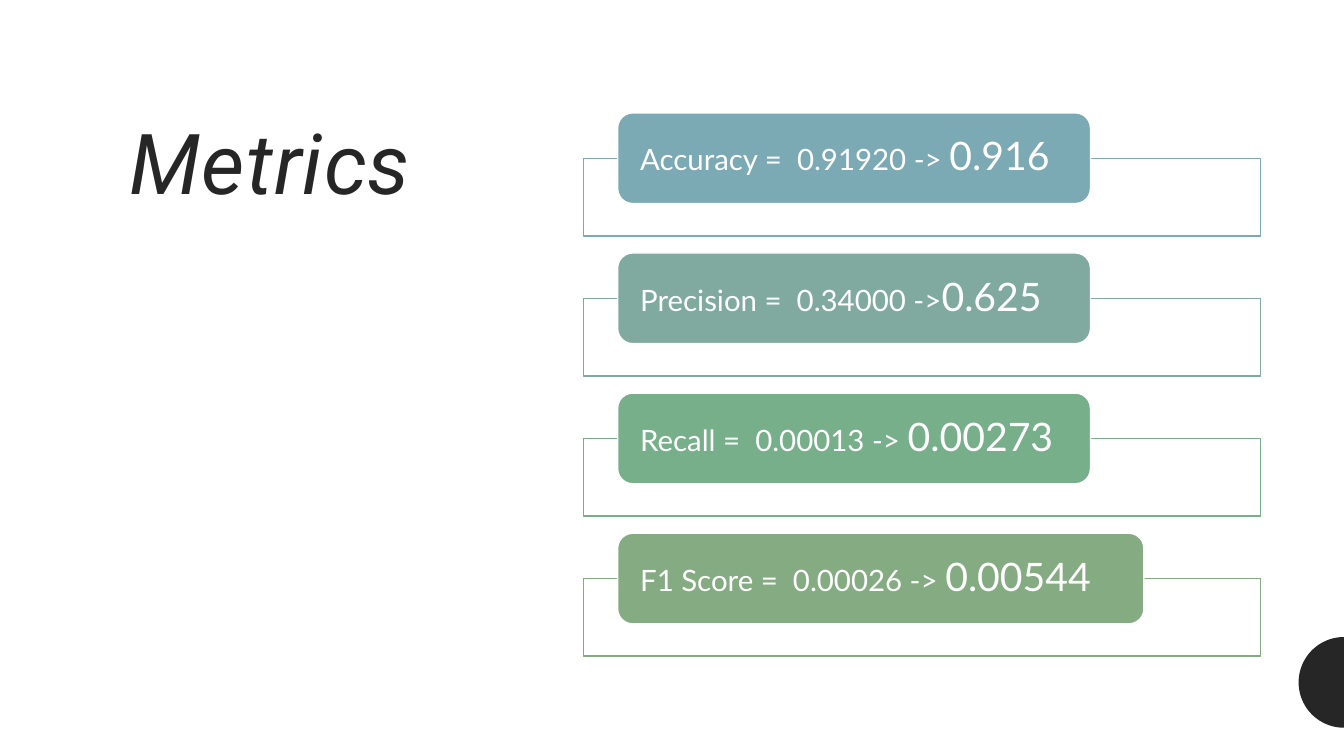
import math

from lxml import etree
from pptx import Presentation
from pptx import util as u
from pptx.dml.color import RGBColor
from pptx.enum import shapes, text
from pptx.oxml.ns import qn

WIDTH, HEIGHT = 13.33, 7.5
DARK, WHITE = "262626", "FFFFFF"
METRICS = [
    ("Accuracy =  0.91920 -> ", "0.916", "7BA9B4", 4.69),
    ("Precision =  0.34000 ->", "0.625", "80AAA0", 4.69),
    ("Recall =  0.00013 -> ", "0.00273", "77AF8A", 4.69),
    ("F1 Score =  0.00026 -> ", "0.00544", "85AB82", 5.22),
]


def color(value):
    return RGBColor.from_string(value)


def add_text(paragraph, words, size, font, fill, italic=False, tracking=0):
    run = paragraph.add_run()
    run.text = words
    run.font.size = u.Pt(size)
    run.font.name = font
    run.font.italic = italic
    run.font.color.rgb = color(fill)
    if tracking:
        run.font._element.set("spc", str(tracking * 100))


def style(shape, fill, line=None, opacity=100):
    shape.shadow.inherit = False
    shape.fill.solid()
    shape.fill.fore_color.rgb = color(fill)
    if opacity < 100:
        tone = shape.fill._xPr.find(".//" + qn("a:srgbClr"))
        etree.SubElement(tone, qn("a:alpha")).set("val", str(opacity * 1000))
    if line:
        shape.line.color.rgb = color(line)
        shape.line.width = u.Pt(1)
    else:
        shape.line.fill.background()


def add_box(slide, kind, left, top, width, height):
    return slide.shapes.add_shape(kind, *map(u.Inches, (left, top, width, height)))


def add_edge_disc(slide, center_y, radius):
    """Half a disc resting against the right edge of the slide."""
    steps = 48
    angles = [math.pi * (0.5 + step / steps) for step in range(steps + 1)]
    points = [(u.Inches(WIDTH + radius * math.cos(angle)),
               u.Inches(center_y - radius * math.sin(angle))) for angle in angles]
    builder = slide.shapes.build_freeform(*points[0])
    builder.add_line_segments(points[1:], close=True)
    style(builder.convert_to_shape(), DARK)


def add_title(slide, words, left, top, width, height):
    title = slide.shapes.title
    title.left, title.top, title.width, title.height = map(
        u.Inches, (left, top, width, height))
    frame = title.text_frame
    frame.auto_size = text.MSO_AUTO_SIZE.NONE
    frame.vertical_anchor = text.MSO_ANCHOR.TOP
    paragraph = frame.paragraphs[0]
    paragraph.alignment = text.PP_ALIGN.LEFT
    paragraph.line_spacing = 0.9
    add_text(paragraph, words, 60, "Roboto", DARK, italic=True, tracking=1)


def add_metric(slide, left, top, width, metric):
    """An outlined row with a filled label over its top edge."""
    before, after, tint, label_width = metric
    label_height = 0.9
    frame_box = add_box(slide, shapes.MSO_SHAPE.RECTANGLE,
                        left, top + label_height / 2, width, 0.77)
    style(frame_box, WHITE, tint, opacity=90)
    label = add_box(slide, shapes.MSO_SHAPE.ROUNDED_RECTANGLE,
                    left + width * 0.05, top, label_width, label_height)
    style(label, tint, WHITE)
    frame = label.text_frame
    frame.word_wrap = True
    frame.vertical_anchor = text.MSO_ANCHOR.MIDDLE
    frame.margin_left = frame.margin_right = u.Inches(0.18)
    frame.margin_top = frame.margin_bottom = 0
    paragraph = frame.paragraphs[0]
    paragraph.alignment = text.PP_ALIGN.LEFT
    paragraph.line_spacing = 0.9
    add_text(paragraph, before, 21, "Lato", WHITE)
    add_text(paragraph, after, 28, "Lato", WHITE)


def add_metric_list(slide, left, top, width, pitch):
    for row, metric in enumerate(METRICS):
        add_metric(slide, left, top + row * pitch, width, metric)


def main():
    presentation = Presentation()
    presentation.slide_width = u.Inches(WIDTH)
    presentation.slide_height = u.Inches(HEIGHT)
    slide = presentation.slides.add_slide(presentation.slide_layouts[5])
    add_edge_disc(slide, center_y=6.77, radius=0.45)
    add_title(slide, "Metrics", 1.18, 1.16, 3.91, 5.26)
    add_metric_list(slide, left=5.79, top=1.12, width=6.71, pitch=1.39)
    presentation.save("out.pptx")


if __name__ == "__main__":
    main()
